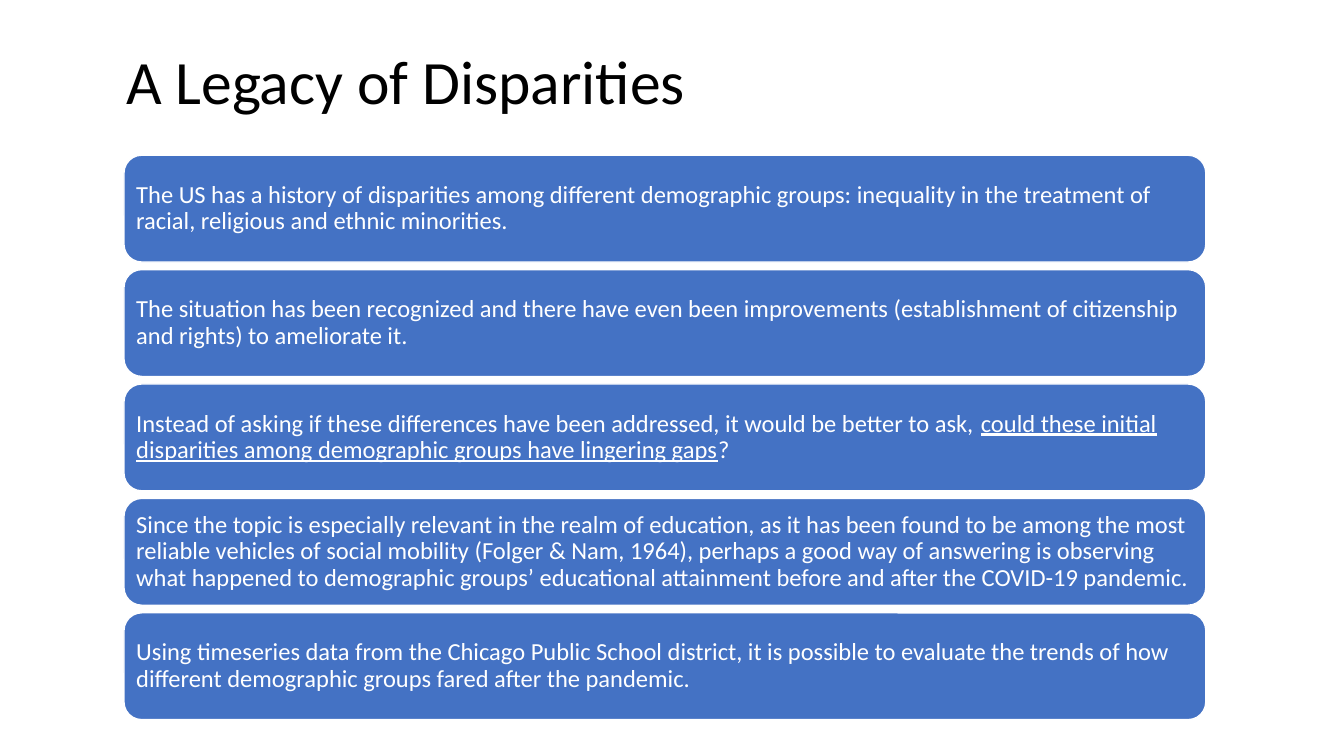
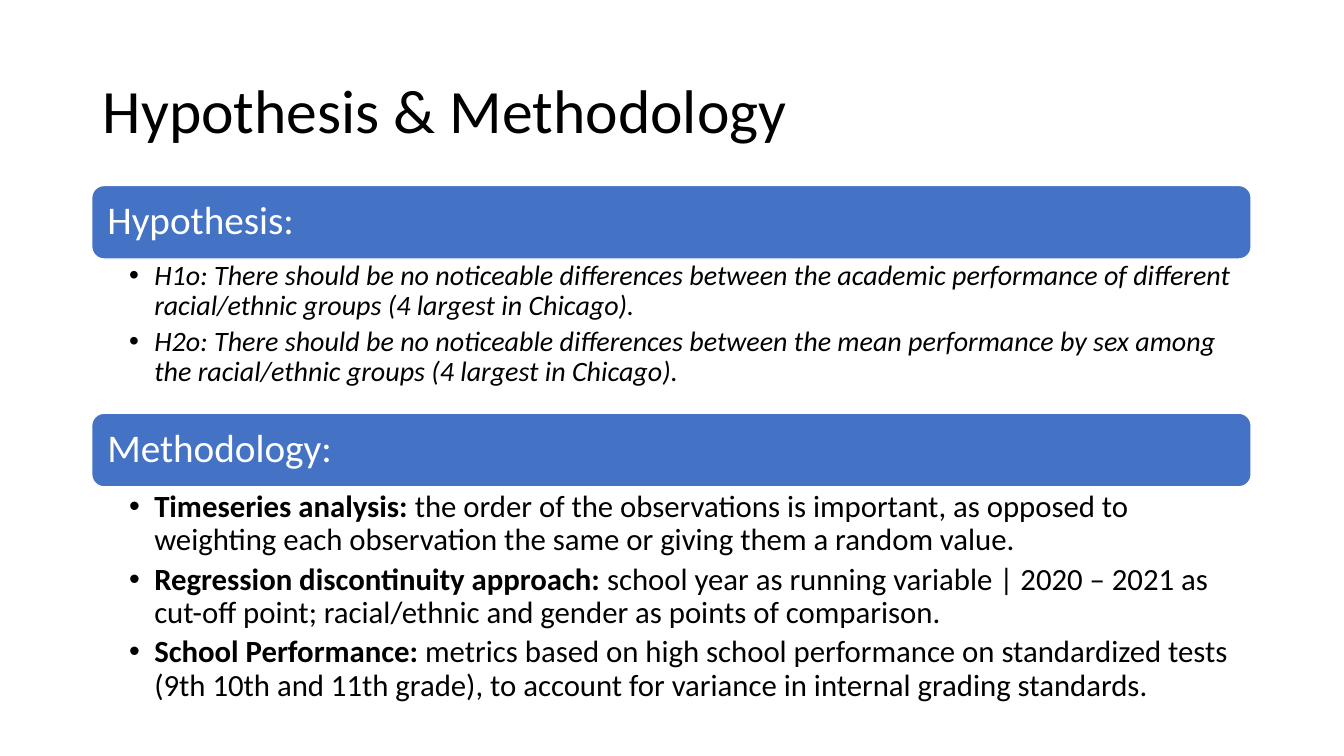
import pptx
import pptx.dml.color
import pptx.enum.shapes
import pptx.enum.text
import pptx.oxml
import pptx.oxml.ns
import pptx.util

Inches, Pt = pptx.util.Inches, pptx.util.Pt
ALIGN = pptx.enum.text.PP_ALIGN
MIDDLE = pptx.enum.text.MSO_ANCHOR.MIDDLE
TOP = pptx.enum.text.MSO_ANCHOR.TOP

# Shared look
FONT = "Calibri"
BLUE, WHITE, BLACK = "4472C4", "FFFFFF", "000000"


def rgb(value):
    return pptx.dml.color.RGBColor.from_string(value)


def write(sp, box, paragraphs, size, color, anchor=MIDDLE,
          insets=(0.1, 0.05, 0.1, 0.05), after=0, bullet=False):
    """Place a shape and fill it; a run is (text, style), style any of b, i, u."""
    sp.left, sp.top, sp.width, sp.height = [Inches(v) for v in box]
    tf = sp.text_frame
    tf.word_wrap = True
    tf.auto_size = pptx.enum.text.MSO_AUTO_SIZE.NONE
    tf.vertical_anchor = anchor
    tf.margin_left, tf.margin_top, tf.margin_right, tf.margin_bottom = [
        Inches(v) for v in insets]
    for n, runs in enumerate(paragraphs):
        p = tf.add_paragraph() if n else tf.paragraphs[0]
        p.alignment = ALIGN.LEFT
        p.line_spacing = 0.9
        p.space_before, p.space_after = Pt(0), Pt(after)
        if bullet:
            p.level = 1
            pPr = p._p.get_or_add_pPr()
            pPr.set("marL", str(Inches(0.25)))
            pPr.set("indent", str(-Inches(0.25)))
            for tag, key, value in (("buFont", "typeface", "Arial"), ("buChar", "char", "•")):
                bu = pptx.oxml.parse_xml(f'<a:{tag} {pptx.oxml.ns.nsdecls("a")}/>')
                bu.set(key, value)
                pPr.append(bu)
        for text, style in runs:
            r = p.add_run()
            r.text = text
            r.font.name, r.font.size = FONT, Pt(size)
            r.font.color.rgb = rgb(color)
            r.font.bold, r.font.italic, r.font.underline = [s in style for s in "biu"]


prs = pptx.Presentation()
prs.slide_width, prs.slide_height = Inches(13.33), Inches(7.5)

# Content: each bar is (box, runs, text size, side inset)
statements = [
    [("The US has a history of disparities among different demographic groups: inequality in "
      "the treatment of racial, religious and ethnic minorities.", "")],
    [("The situation has been recognized and there have even been improvements (establishment "
      "of citizenship and rights) to ameliorate it.", "")],
    [("Instead of asking if these differences have been addressed, it would be better to ask, ", ""),
     ("could these initial disparities among demographic groups have lingering gaps", "u"),
     ("?", "")],
    [("Since the topic is especially relevant in the realm of education, as it has been found to "
      "be among the most reliable vehicles of social mobility (Folger & Nam, 1964), perhaps a "
      "good way of answering is observing what happened to demographic groups’ educational "
      "attainment before and after the COVID-19 pandemic.", "")],
    [("Using timeseries data from the Chicago Public School district, it is possible to evaluate "
      "the trends of how different demographic groups fared after the pandemic.", "")],
]
legacy_bars = [((1.23, 1.54 + n * 1.135, 10.73, 1.06), runs, 17.5, 0.07)
               for n, runs in enumerate(statements)]
heading_bars = [((0.91, top, 11.5, 0.73), [(text, "")], 28, 0.12)
                for top, text in ((1.84, "Hypothesis:"), (4.1, "Methodology:"))]

hypotheses = [
    [("H1o: There should be no noticeable differences between the academic performance of "
      "different racial/ethnic groups (4 largest in Chicago).", "i")],
    [("H2o: There should be no noticeable differences between the mean performance by sex among "
      "the racial/ethnic groups (4 largest in Chicago).", "i")],
]
methods = [
    [("Timeseries analysis: ", "b"),
     ("the order of the observations is important, as opposed to weighting each observation "
      "the same or giving them a random value.", "")],
    [("Regression discontinuity approach: ", "b"),
     ("school year as running variable | 2020 – 2021 as cut-off point; racial/ethnic and gender "
      "as points of comparison.", "")],
    [("School Performance: ", "b"),
     ("metrics based on high school performance on standardized tests (9th 10th and 11th grade), "
      "to account for variance in internal grading standards.", "")],
]
# Each list is (box, paragraphs, text size, insets, space after)
lists = [
    ((0.91, 2.58, 11.5, 1.52), hypotheses, 20, (0.37, 0.01, 0.06, 0.01), 4),
    ((0.91, 4.83, 11.5, 2.28), methods, 22, (0.37, 0.04, 0.22, 0.04), 4.4),
]

# Slides: layout 5 is Title Only, layout 3 is Two Content
slides = [
    (5, "A Legacy of Disparities", (1.15, 0.11), legacy_bars, []),
    (3, "Hypothesis & Methodology", (0.92, 0.4), heading_bars, lists),
]
for layout, title, corner, bars, bodies in slides:
    s = prs.slides.add_slide(prs.slide_layouts[layout])
    write(s.shapes.title, (*corner, 11.5, 1.45), [[(title, "")]], 44, BLACK)

    # Blue rounded bars
    for box, runs, size, side in bars:
        sp = s.shapes.add_shape(pptx.enum.shapes.MSO_SHAPE.ROUNDED_RECTANGLE, 0, 0, 0, 0)
        sp.shadow.inherit = False
        sp.fill.solid()
        sp.fill.fore_color.rgb = rgb(BLUE)
        sp.line.color.rgb = rgb(WHITE)
        sp.line.width = Pt(1)
        write(sp, box, [runs], size, WHITE, insets=(side, 0.07, side, 0.07))

    # Bulleted lists
    for idx, (box, paragraphs, size, insets, after) in enumerate(bodies, 1):
        write(s.placeholders[idx], box, paragraphs, size, BLACK, TOP, insets, after, bullet=True)

prs.save("out.pptx")
